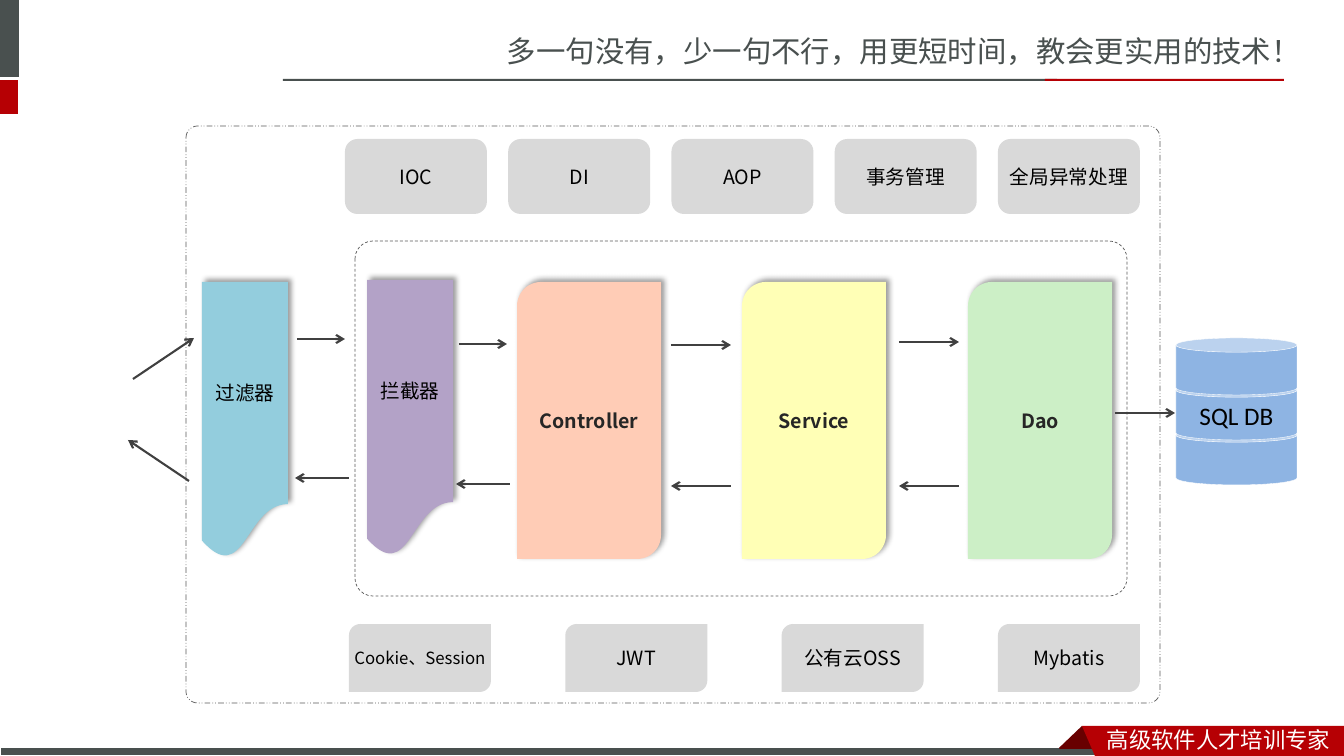
from lxml import etree
from pptx import Presentation, util as u
from pptx.dml import color
from pptx.enum import dml, shapes, text
from pptx.oxml import ns

PX = 914400 / 100.8
THEME = {
    "slate": "49504F", "red": "B60004", "maroon": "680000", "white": "FFFFFF",
    "frame": "595959", "arrow": "404040", "ink": "000000", "layer": "262626",
    "tile": "D9D9D9", "database": "8EB4E3", "filter": "93CDDD", "interceptor": "B3A2C7",
    "controller": "FFCCB6", "service": "FFFFB6", "dao": "CCEFC6",
    "slogan_size": 21, "banner_size": 16, "label_size": 14, "small_size": 12, "database_size": 18,
    "heading_font": "Noto Sans CJK SC", "label_font": "Noto Sans CJK JP", "database_font": "Calibri",
}
PRESET = shapes.MSO_SHAPE


def paint(box, fill=None, line=None, width=0.75, dash=None, shadow=False):
    box.shadow.inherit = False
    if fill:
        box.fill.solid()
        box.fill.fore_color.rgb = color.RGBColor.from_string(THEME[fill])
    else:
        box.fill.background()
    if line:
        box.line.color.rgb = color.RGBColor.from_string(THEME[line])
        box.line.width = u.Pt(width)
        box.line.dash_style = dash
    else:
        box.line.fill.background()
    if shadow:
        effects = box._element.spPr.find(ns.qn("a:effectLst"))
        outer = etree.SubElement(effects, ns.qn("a:outerShdw"), blurRad="50800", dist="38100",
                                 dir="18900000", algn="bl", rotWithShape="0")
        black = etree.SubElement(outer, ns.qn("a:srgbClr"), val=THEME["ink"])
        etree.SubElement(black, ns.qn("a:alpha"), val="40000")
    return box


def write(box, wording, size="label_size", font="label_font", ink="ink", bold=False,
          align=text.PP_ALIGN.CENTER, anchor=text.MSO_ANCHOR.MIDDLE, side=None, edge=None):
    frame = box.text_frame
    frame.word_wrap = True
    frame.vertical_anchor = anchor
    if side is not None:
        frame.margin_left = frame.margin_right = int(side * PX)
        frame.margin_top = frame.margin_bottom = int(edge * PX)
    para = frame.paragraphs[0]
    para.alignment = align
    span = para.add_run()
    span.text = wording
    span.font.name = THEME[font]
    span.font.size = u.Pt(THEME[size])
    span.font.bold = bold
    span.font.color.rgb = color.RGBColor.from_string(THEME[ink])
    etree.SubElement(span.font._element, ns.qn("a:ea"), typeface=THEME[font])


deck = Presentation()
deck.slide_width = int(1344 * PX)
deck.slide_height = int(756 * PX)
page = deck.slides.add_slide(deck.slide_layouts[6])
canvas = page.shapes

bars = [
    (0, 0, 19, 77, "slate", None),
    (0, 80, 18, 34, "red", None),
    (283, 79, 774, 2, "slate", None),
    (1045, 79, 239, 2, "red", None),
    (0, 747, 1107, 9, "slate", "white"),
]
for left, top, width, height, fill, line in bars:
    bar = canvas.add_shape(PRESET.RECTANGLE, *[int(n * PX) for n in (left, top, width, height)])
    paint(bar, fill, line)

ribbons = [
    ([(1082, 726), (1104, 748), (1103, 749), (1060, 749), (1059, 748)], "maroon"),
    ([(1082, 726), (1344, 726), (1344, 756), (1095, 756)], "red"),
]
for corners, fill in ribbons:
    outline = canvas.build_freeform(*corners[0], scale=PX)
    outline.add_line_segments(corners[1:], close=True)
    paint(outline.convert_to_shape(), fill)

headings = [
    (497, 28, 847, 47, "多一句没有，少一句不行，用更短时间，教会更实用的技术！", "slogan_size", "slate"),
    (1097, 721, 247, 37, "高级软件人才培训专家", "banner_size", "white"),
]
for left, top, width, height, wording, size, ink in headings:
    heading = canvas.add_textbox(*[int(n * PX) for n in (left, top, width, height)])
    write(heading, wording, size, "heading_font", ink,
          align=text.PP_ALIGN.LEFT, anchor=text.MSO_ANCHOR.TOP)
    heading.text_frame.auto_size = text.MSO_AUTO_SIZE.SHAPE_TO_FIT_TEXT

frames = [
    (355, 241, 772, 355, 0.05, dml.MSO_LINE.DASH),
    (186, 126, 974, 577, 0.02, dml.MSO_LINE.DASH_DOT_DOT),
]
for left, top, width, height, rounding, dash in frames:
    border = canvas.add_shape(PRESET.ROUNDED_RECTANGLE,
                              *[int(n * PX) for n in (left, top, width, height)])
    border.adjustments[0] = rounding
    paint(border, line="frame", width=0.5, dash=dash)

layers = [(517, "Controller", "controller"), (742, "Service", "service"), (968, "Dao", "dao")]
for left, wording, fill in layers:
    layer = canvas.add_shape(PRESET.ROUND_2_DIAG_RECTANGLE,
                             *[int(n * PX) for n in (left, 282, 144, 277)])
    paint(layer, fill, shadow=True)
    write(layer, wording, ink="layer", bold=True, side=0, edge=0)

for top, wording in [(428, None), (383, "SQL DB"), (338, None)]:
    disk = canvas.add_shape(PRESET.CAN, *[int(n * PX) for n in (1176, top, 121, 57)])
    paint(disk, "database", "white", 0.25)
    if wording:
        write(disk, wording, "database_size", "database_font")

for left, top, wording, fill in [(202, 282, "过滤器", "filter"), (367, 280, "拦截器", "interceptor")]:
    gate = canvas.add_shape(PRESET.FLOWCHART_DOCUMENT,
                            *[int(n * PX) for n in (left, top, 86, 277)])
    paint(gate, fill, shadow=True)
    write(gate, wording)

arrows = [
    (133, 379, 194, 338), (297, 339, 345, 339), (459, 344, 507, 344), (671, 345, 731, 345),
    (899, 342, 959, 342), (1115, 413, 1175, 413), (959, 486, 899, 486), (731, 486, 671, 486),
    (510, 484, 456, 484), (349, 478, 295, 478), (189, 481, 128, 440),
]
for ends in arrows:
    arrow = canvas.add_connector(shapes.MSO_CONNECTOR.STRAIGHT, *[int(n * PX) for n in ends])
    arrow.line.color.rgb = color.RGBColor.from_string(THEME["arrow"])
    arrow.line.width = u.Pt(1.5)
    etree.SubElement(arrow.line._get_or_add_ln(), ns.qn("a:tailEnd"), type="arrow")
    etree.SubElement(arrow._element.spPr, ns.qn("a:effectLst"))

tile_rows = [
    (PRESET.ROUNDED_RECTANGLE, 345, 139, 75, ["IOC", "DI", "AOP", "事务管理", "全局异常处理"]),
    (PRESET.ROUND_2_DIAG_RECTANGLE, 349, 624, 68, ["Cookie、Session", "JWT", "公有云OSS", "Mybatis"]),
]
for preset, first, top, height, labels in tile_rows:
    step = (998 - first) / (len(labels) - 1)
    for index, wording in enumerate(labels):
        left = first + index * step
        tile = canvas.add_shape(preset, *[int(n * PX) for n in (left, top, 142, height)])
        paint(tile, "tile")
        size = "small_size" if wording == "Cookie、Session" else "label_size"
        write(tile, wording, size, side=0, edge=5)

deck.save("out.pptx")
